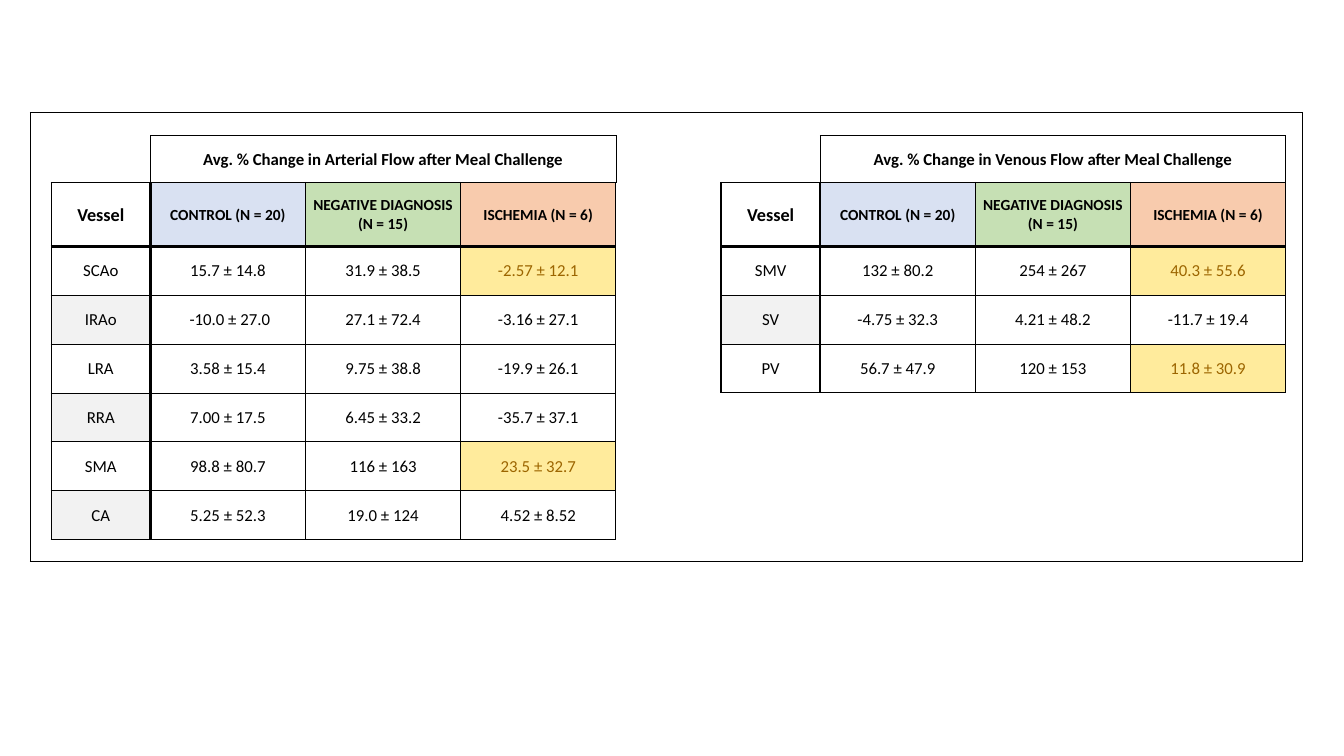
from lxml.etree import SubElement
from pptx import Presentation
from pptx.dml.color import RGBColor
from pptx.enum.text import MSO_ANCHOR, PP_ALIGN
from pptx.oxml.ns import qn
from pptx.util import Cm, Pt

BLACK = RGBColor(0x00, 0x00, 0x00)
BLUE = RGBColor(0xD9, 0xE1, 0xF2)
GREEN = RGBColor(0xC6, 0xE0, 0xB4)
ORANGE = RGBColor(0xF8, 0xCB, 0xAD)
YELLOW = RGBColor(0xFF, 0xEB, 0x9C)
BROWN = RGBColor(0x9C, 0x65, 0x00)
GREY = RGBColor(0xF2, 0xF2, 0xF2)

NO_STYLE = "{2D5ABB26-0587-4C30-8999-92F81FD0307C}"
THIN, MEDIUM, THICK = 0.5, 1, 2

# Column widths and row heights in cm
BLOCK_WIDTHS = [2.5, 3.91, 3.91, 3.91]
WIDTHS = [0.53, *BLOCK_WIDTHS, 2.65, *BLOCK_WIDTHS, 0.41]
HEIGHTS = [0.58, 1.18, 1.61] + [1.23] * 6 + [0.56]
TITLE_ROW, HEADER_ROW, FIRST_DATA_ROW = 1, 2, 3

GROUPS = [("CONTROL (N = 20)", BLUE),
          ("NEGATIVE DIAGNOSIS (N = 15)", GREEN),
          ("ISCHEMIA (N = 6)", ORANGE)]
ARTERIAL = [("SCAo", "15.7 ± 14.8", "31.9 ± 38.5", "-2.57 ± 12.1"),
            ("IRAo", " -10.0 ± 27.0", "27.1 ± 72.4", "-3.16 ± 27.1"),
            ("LRA", "3.58 ± 15.4", "9.75 ± 38.8", "-19.9 ± 26.1"),
            ("RRA", "7.00 ± 17.5", "6.45 ± 33.2", "-35.7 ± 37.1"),
            ("SMA", "98.8 ± 80.7", "116 ± 163", "23.5 ± 32.7"),
            ("CA", "5.25 ± 52.3", "19.0 ± 124", "4.52 ± 8.52")]
VENOUS = [("SMV", "132 ± 80.2", "254 ± 267", "40.3 ± 55.6"),
          ("SV", "-4.75 ± 32.3", "4.21 ± 48.2", "-11.7 ± 19.4"),
          ("PV", "56.7 ± 47.9", "120 ± 153", "11.8 ± 30.9")]
HIGHLIGHTED_VESSELS = {"SCAo", "SMA", "SMV", "PV"}


def write(cell, text, size=12, bold=False, color=BLACK, font="Calibri"):
    cell.vertical_anchor = MSO_ANCHOR.MIDDLE
    paragraph = cell.text_frame.paragraphs[0]
    paragraph.alignment = PP_ALIGN.CENTER
    run = paragraph.add_run()
    run.text = text
    run.font.name = font
    run.font.size = Pt(size)
    run.font.bold = bold
    run.font.color.rgb = color


class FlowTable:
    """Holds the slide, its table and the lines of the grid."""

    def __init__(self, slide):
        frame = slide.shapes.add_table(len(HEIGHTS), len(WIDTHS), Cm(0.76), Cm(2.84),
                                       Cm(sum(WIDTHS)), Cm(sum(HEIGHTS)))
        self.table = frame.table
        self.table.first_row = self.table.horz_banding = False
        self.table._tbl.tblPr.find(qn("a:tableStyleId")).text = NO_STYLE
        for column, width in zip(self.table.columns, WIDTHS):
            column.width = Cm(width)
        for row, height in zip(self.table.rows, HEIGHTS):
            row.height = Cm(height)
        for cell in self.table.iter_cells():
            cell.margin_left = cell.margin_right = cell.margin_top = Cm(0.02)
            cell.margin_bottom = 0
            cell.fill.background()
        self.tops = {}   # line above (row, column)
        self.lefts = {}  # line left of (row, column)

    def outline(self, top, left, bottom, right, weight):
        for column in range(left, right):
            self.tops[top, column] = self.tops[bottom, column] = weight
        for row in range(top, bottom):
            self.lefts[row, left] = self.lefts[row, right] = weight

    def fill_cell(self, row, column, text, fill=None, **style):
        cell = self.table.cell(row, column)
        write(cell, text, **style)
        if fill is not None:
            cell.fill.solid()
            cell.fill.fore_color.rgb = fill

    def block(self, left, title, vessels):
        end, bottom = left + len(BLOCK_WIDTHS), FIRST_DATA_ROW + len(vessels)

        # Title and group headings
        self.table.cell(TITLE_ROW, left + 1).merge(self.table.cell(TITLE_ROW, end - 1))
        self.fill_cell(TITLE_ROW, left + 1, title, bold=True)
        self.fill_cell(HEADER_ROW, left, "Vessel", size=13, bold=True)
        for column, (group, color) in enumerate(GROUPS, left + 1):
            self.fill_cell(HEADER_ROW, column, group, fill=color, size=11, bold=True)

        # Measurements
        for index, (vessel, *changes) in enumerate(vessels):
            row = FIRST_DATA_ROW + index
            self.fill_cell(row, left, vessel, fill=GREY if index % 2 else None)
            for column, change in enumerate(changes, left + 1):
                marked = column == end - 1 and vessel in HIGHLIGHTED_VESSELS
                self.fill_cell(row, column, change, fill=YELLOW if marked else None,
                               color=BROWN if marked else BLACK)

        # Lines
        self.outline(TITLE_ROW, left + 1, HEADER_ROW, end, THIN)
        self.outline(HEADER_ROW, left, bottom, end, MEDIUM)
        for row in range(HEADER_ROW, bottom):
            for column in range(left + 1, end):
                self.lefts[row, column] = THICK if column == left + 1 else MEDIUM
        for row in range(FIRST_DATA_ROW, bottom):
            for column in range(left, end):
                self.tops[row, column] = THICK if row == FIRST_DATA_ROW else THIN

    def draw_lines(self):
        for row in range(len(HEIGHTS)):
            for column in range(len(WIDTHS)):
                sides = [("a:lnL", self.lefts.get((row, column))),
                         ("a:lnR", self.lefts.get((row, column + 1))),
                         ("a:lnT", self.tops.get((row, column))),
                         ("a:lnB", self.tops.get((row + 1, column)))]
                properties = self.table.cell(row, column)._tc.get_or_add_tcPr()
                for position, (side, weight) in enumerate(sides):
                    line = SubElement(properties, qn(side), w=str(Pt(weight or 0)))
                    if weight:
                        solid = SubElement(line, qn("a:solidFill"))
                        SubElement(solid, qn("a:srgbClr"), val=str(BLACK))
                    else:
                        SubElement(line, qn("a:noFill"))
                    properties.insert(position, line)

    def shrink_empty_cells(self):
        for cell in self.table.iter_cells():
            if not cell.text:
                paragraph = cell.text_frame.paragraphs[0]._p
                SubElement(paragraph, qn("a:endParaRPr"), sz="600")


def main():
    presentation = Presentation()
    presentation.slide_width, presentation.slide_height = Cm(33.87), Cm(19.05)
    slide = presentation.slides.add_slide(presentation.slide_layouts[6])

    flow = FlowTable(slide)
    flow.outline(0, 0, len(HEIGHTS), len(WIDTHS), THIN)
    flow.block(1, "Avg. % Change in Arterial Flow after Meal Challenge", ARTERIAL)
    flow.block(6, "Avg. % Change in Venous Flow after Meal Challenge", VENOUS)
    flow.draw_lines()
    flow.shrink_empty_cells()
    presentation.save("out.pptx")


if __name__ == "__main__":
    main()
